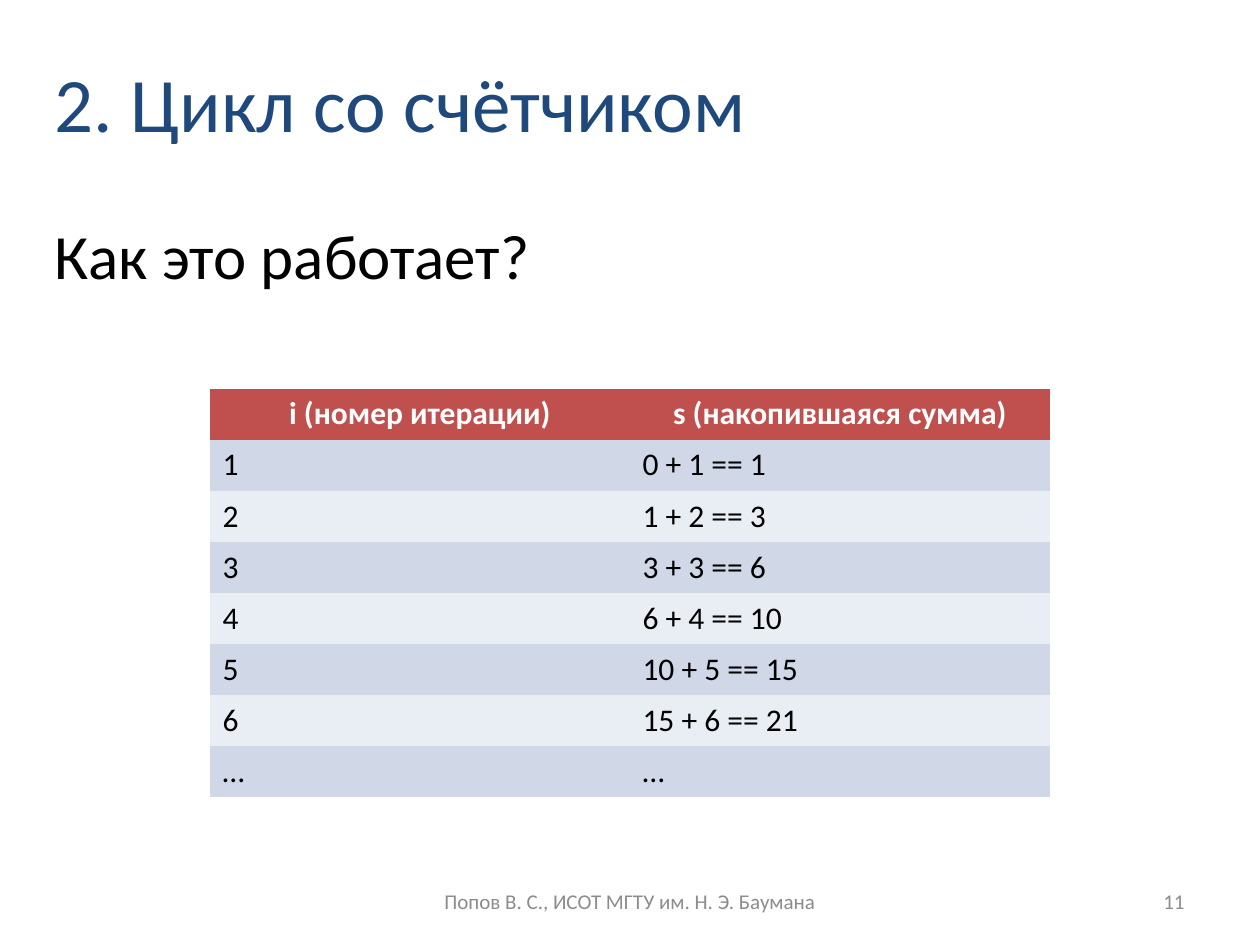
"""Builds a slide that traces a counting loop in a table."""
from pptx import Presentation
from pptx.dml.color import RGBColor as RGB
from pptx.enum.text import MSO_ANCHOR as ANCHOR, MSO_AUTO_SIZE as FIT, PP_ALIGN as ALIGN
from pptx.util import Pt

COLORS = {
    "title": "1F497D", "text": "000000", "footer": "8C8C8C",
    "head_text": "FFFFFF", "head": "C0504D", "odd": "D0D8E8", "even": "E9EDF4",
}


def write(tf, text, size=18, color="text", bold=False, align=ALIGN.LEFT, anchor=None):
    """Writes one formatted paragraph into a text frame."""
    tf.word_wrap = True
    if anchor is not None:
        tf.vertical_anchor = anchor
    p = tf.paragraphs[0]
    p.alignment = align
    p.space_before = Pt(0)
    r = p.add_run()
    r.text = text
    r.font.name = "Calibri"
    r.font.size = Pt(size)
    r.font.bold = bold
    r.font.color.rgb = RGB.from_string(COLORS[color])


prs = Presentation()
prs.slide_width, prs.slide_height = Pt(720), Pt(540)
s = prs.slides.add_slide(prs.slide_layouts[0])

title, body = s.placeholders
title.left, title.top, title.width, title.height = Pt(24), Pt(0), Pt(588), Pt(116)
write(title.text_frame, "2. Цикл со счётчиком", size=44, color="title", anchor=ANCHOR.MIDDLE)

body.left, body.top, body.width, body.height = Pt(24), Pt(120), Pt(672), Pt(160)
body.text_frame.auto_size = FIT.NONE
write(body.text_frame, "Как это работает?", size=36, anchor=ANCHOR.TOP)

footers = [
    (246, 228, "Попов В. С., ИСОТ МГТУ им. Н. Э. Баумана", ALIGN.CENTER),
    (516, 168, "11", ALIGN.RIGHT),
]
for left, width, text, align in footers:
    sp = s.shapes.add_textbox(Pt(left), Pt(500.5), Pt(width), Pt(28.75))
    write(sp.text_frame, text, size=12, color="footer", align=align, anchor=ANCHOR.MIDDLE)

rows = [
    ("i (номер итерации)", "s (накопившаяся сумма)"),
    ("1", "0 + 1 == 1"),
    ("2", "1 + 2 == 3"),
    ("3", "3 + 3 == 6"),
    ("4", "6 + 4 == 10"),
    ("5", "10 + 5 == 15"),
    ("6", "15 + 6 == 21"),
    ("…", "…"),
]
table = s.shapes.add_table(len(rows), 2, Pt(120), Pt(222), Pt(480), Pt(29.2 * len(rows))).table
for i, row in enumerate(rows):
    head = i == 0
    fill = "head" if head else "odd" if i % 2 else "even"
    for j, text in enumerate(row):
        cell = table.cell(i, j)
        cell.fill.solid()
        cell.fill.fore_color.rgb = RGB.from_string(COLORS[fill])
        write(cell.text_frame, text, bold=head, color="head_text" if head else "text",
              align=ALIGN.CENTER if head else ALIGN.LEFT)

# The table style draws white rules, so a borderless style is chosen.
table_style = table._tbl.tblPr.find("{http://schemas.openxmlformats.org/drawingml/2006/main}tableStyleId")
table_style.text = "{2D5ABB26-0587-4C30-8999-92F81FD0307C}"

prs.save("out.pptx")
